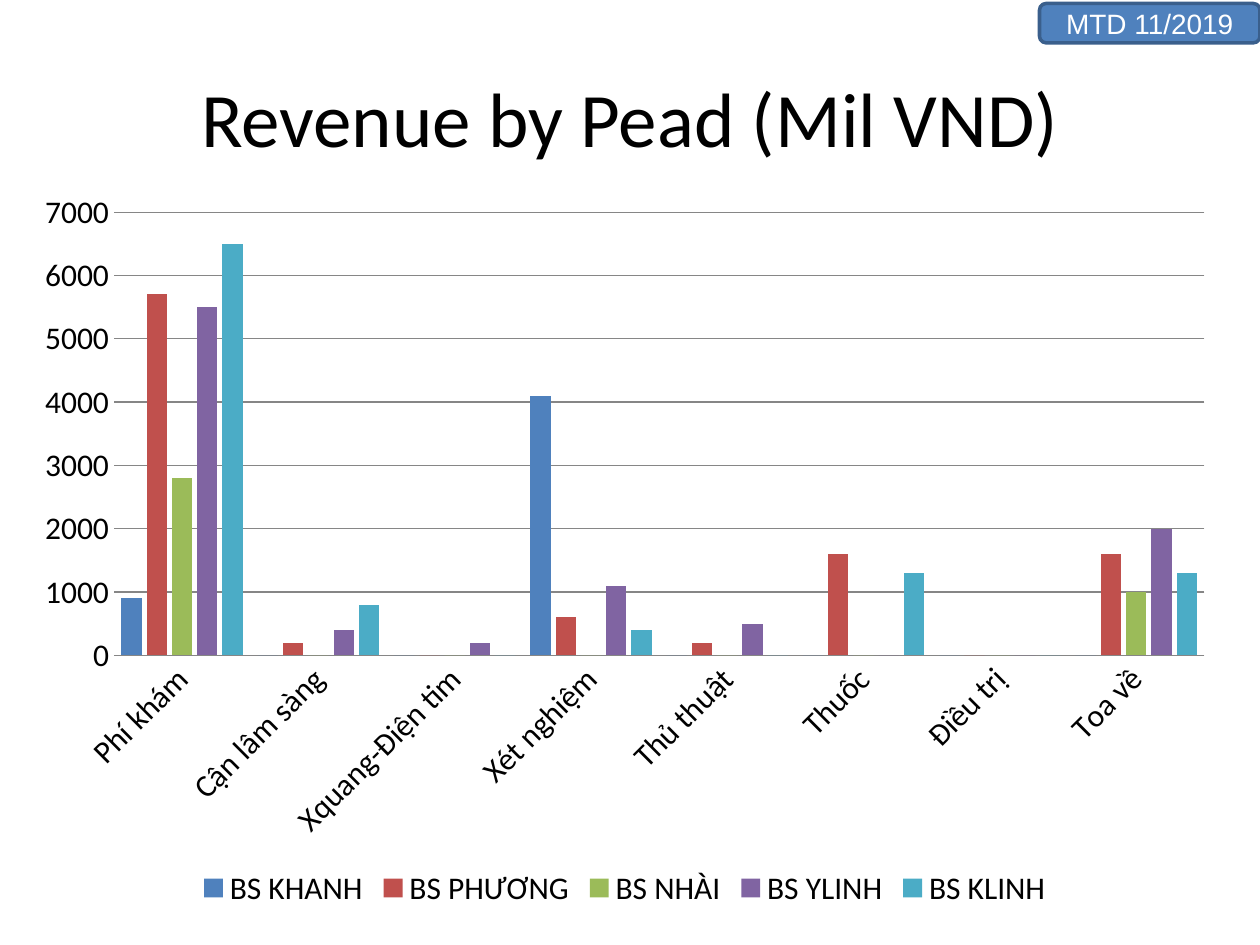
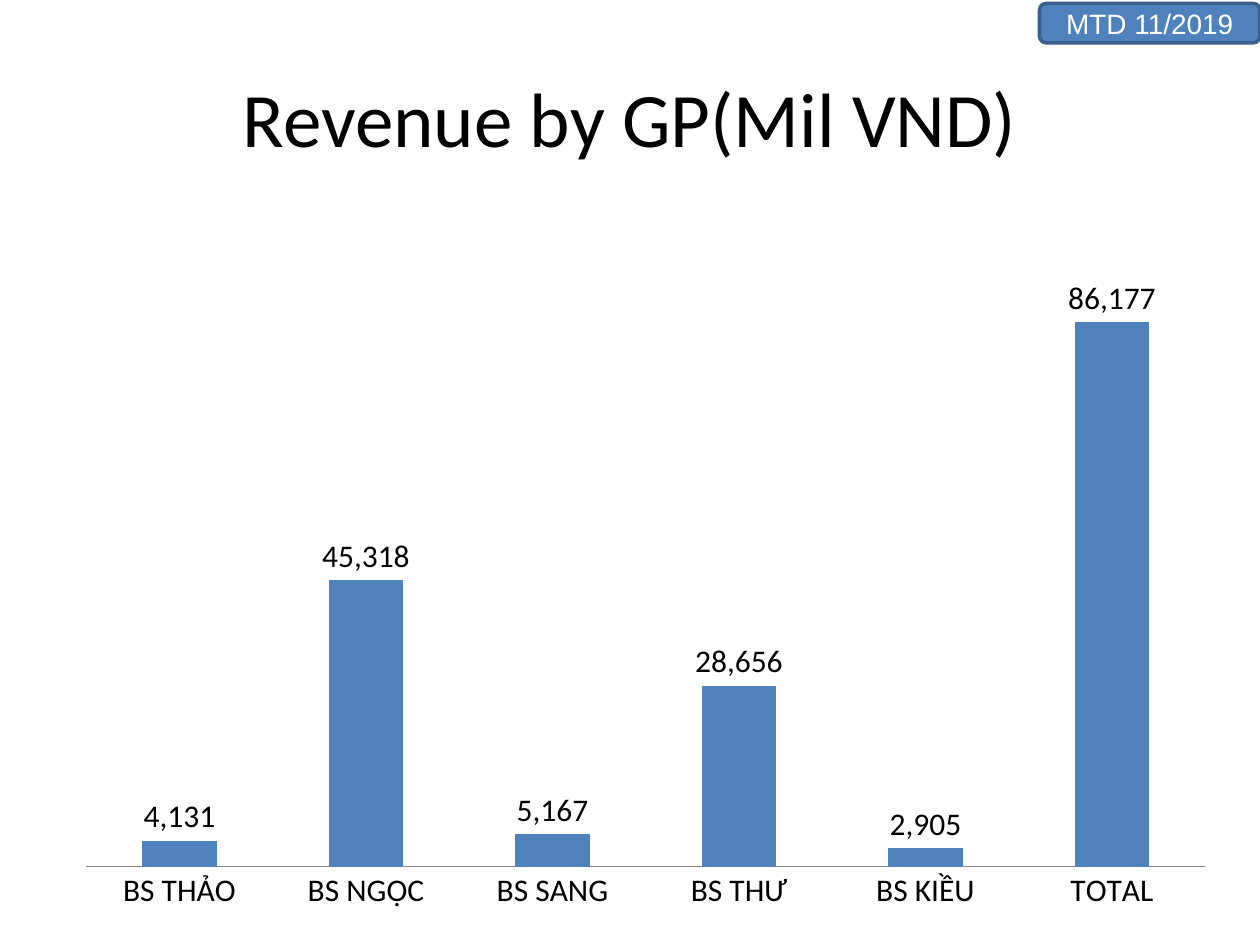
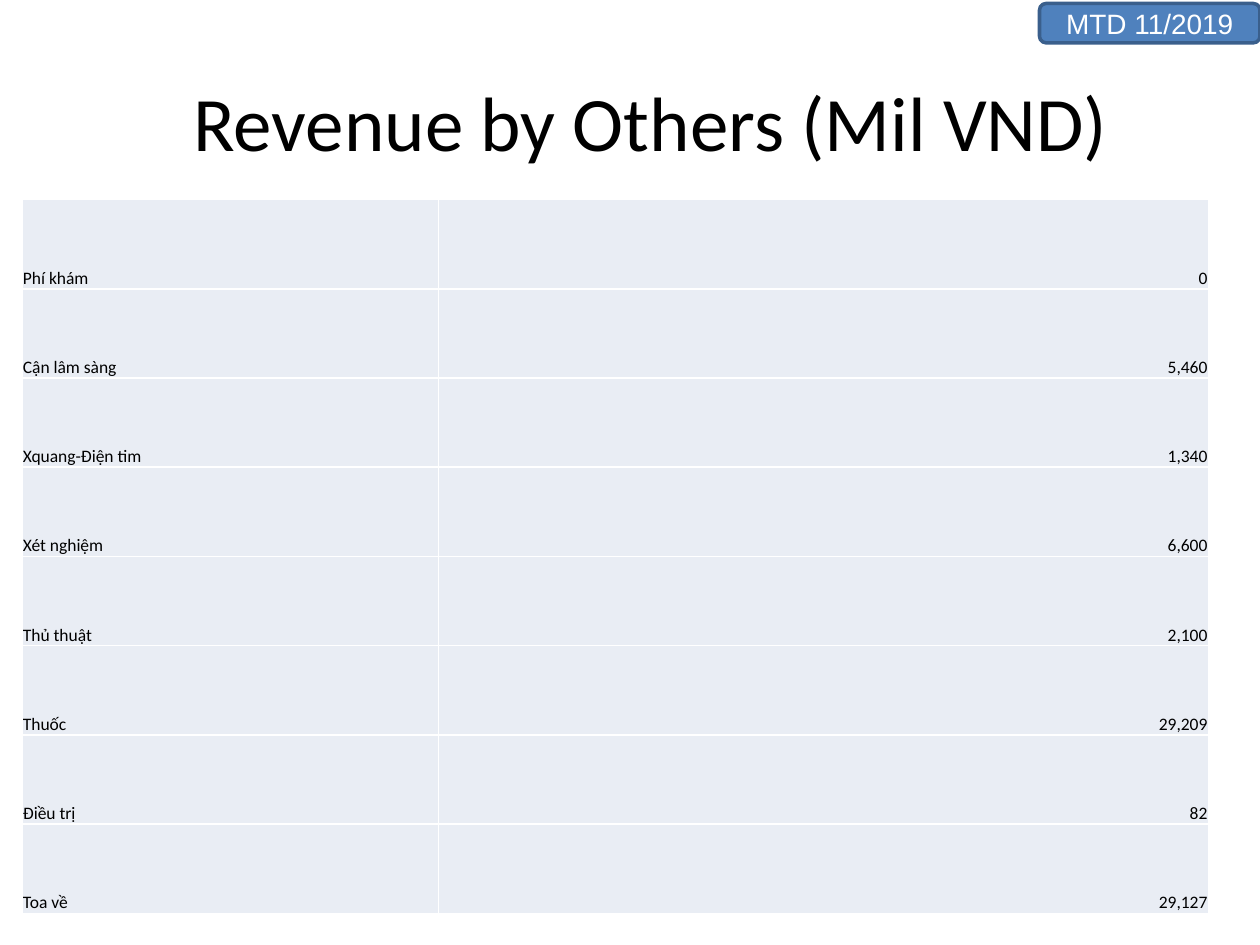
from dataclasses import dataclass

import pptx
import pptx.chart.chart
import pptx.chart.data
import pptx.dml.color
import pptx.enum.chart
import pptx.enum.shapes
import pptx.enum.text
import pptx.oxml
import pptx.oxml.ns
import pptx.slide
import pptx.table
import pptx.text.text
import pptx.util

Pt = pptx.util.Pt
ALIGN = pptx.enum.text.PP_ALIGN
ANCHOR = pptx.enum.text.MSO_ANCHOR

COLORS = {
    "text": "000000",
    "white": "FFFFFF",
    "blue": "4F81BD",
    "red": "C0504D",
    "green": "9BBB59",
    "purple": "8064A2",
    "aqua": "4BACC6",
    "badge_line": "3A5F8C",
    "axis": "868686",
    "cell": "E9EDF4",
}
FONT = "Calibri"
BADGE_TEXT = "MTD 11/2019"
SERVICES = ["Phí khám", "Cận lâm sàng", "Xquang-Điện tim", "Xét nghiệm",
            "Thủ thuật", "Thuốc", "Điều trị", "Toa về"]
OTHER_REVENUE = ["0", "5,460", "1,340", "6,600", "2,100", "29,209", "82", "29,127"]


@dataclass(frozen=True)
class Box:
    """Position and size in points."""
    left: float
    top: float
    width: float
    height: float

    def lengths(self) -> tuple:
        return Pt(self.left), Pt(self.top), Pt(self.width), Pt(self.height)


@dataclass(frozen=True)
class Series:
    name: str
    values: list[int]
    color: str


@dataclass(frozen=True)
class ColumnChart:
    box: Box
    categories: list[str]
    series: list[Series]
    gap: int
    maximum: int


TITLE_BOX = Box(36, 21.6, 648, 90)
BADGE_BOX = Box(594, 2, 126, 22.5)
TABLE_BOX = Box(12.5, 114, 678, 408)
LABEL_COLUMN_WIDTH = 238

DOCTOR_CHART = ColumnChart(
    Box(12, 102, 690, 420), SERVICES,
    [
        Series("BS KHANH", [900, 0, 0, 4100, 0, 0, 0, 0], "blue"),
        Series("BS PHƯƠNG", [5700, 200, 0, 600, 200, 1600, 0, 1600], "red"),
        Series("BS NHÀI", [2800, 0, 0, 0, 0, 0, 0, 1000], "green"),
        Series("BS YLINH", [5500, 400, 200, 1100, 500, 0, 0, 2000], "purple"),
        Series("BS KLINH", [6500, 800, 0, 400, 0, 1300, 0, 1300], "aqua"),
    ],
    gap=75, maximum=7000)

GP_CHART = ColumnChart(
    Box(36, 126, 666, 402),
    ["BS THẢO", "BS NGỌC", "BS SANG", "BS THƯ", "BS KIỀU", "TOTAL"],
    [Series("Series 1", [4131, 45318, 5167, 28656, 2905, 86177], "blue")],
    gap=150, maximum=100000)


def rgb(name: str) -> pptx.dml.color.RGBColor:
    return pptx.dml.color.RGBColor.from_string(COLORS[name])


def style_font(font: pptx.text.text.Font, size: float, name: str = FONT,
               color: str = "text") -> None:
    font.size = Pt(size)
    font.name = name
    font.color.rgb = rgb(color)


def write_text(frame: pptx.text.text.TextFrame, text: str, *, size: float,
               name: str = FONT, color: str = "text",
               align: ALIGN = ALIGN.CENTER) -> None:
    paragraph = frame.paragraphs[0]
    paragraph.alignment = align
    run = paragraph.add_run()
    run.text = text
    style_font(run.font, size, name, color)


def add_badge(slide: pptx.slide.Slide) -> None:
    badge = slide.shapes.add_shape(
        pptx.enum.shapes.MSO_SHAPE.ROUNDED_RECTANGLE, *BADGE_BOX.lengths())
    badge.shadow.inherit = False
    badge.fill.solid()
    badge.fill.fore_color.rgb = rgb("blue")
    badge.line.color.rgb = rgb("badge_line")
    badge.line.width = Pt(2)
    badge.text_frame.vertical_anchor = ANCHOR.MIDDLE
    write_text(badge.text_frame, BADGE_TEXT, size=16, name="Arial", color="white")


def add_slide(presentation, title: str, title_box: Box = TITLE_BOX) -> pptx.slide.Slide:
    """Add a blank slide with the shared badge and title."""
    slide = presentation.slides.add_slide(presentation.slide_layouts[6])
    add_badge(slide)
    frame = slide.shapes.add_textbox(*title_box.lengths()).text_frame
    frame.word_wrap = True
    frame.vertical_anchor = ANCHOR.MIDDLE
    write_text(frame, title, size=44)
    return slide


def add_column_chart(slide: pptx.slide.Slide, spec: ColumnChart) -> pptx.chart.chart.Chart:
    data = pptx.chart.data.CategoryChartData(number_format="#,##0")
    data.categories = spec.categories
    for series in spec.series:
        data.add_series(series.name, series.values)
    chart = slide.shapes.add_chart(
        pptx.enum.chart.XL_CHART_TYPE.COLUMN_CLUSTERED, *spec.box.lengths(), data).chart
    chart.has_title = False
    chart.has_legend = False
    style_font(chart.font, 18)

    plot = chart.plots[0]
    plot.vary_by_categories = False
    plot.gap_width = spec.gap
    plot.overlap = -25
    for drawn, series in zip(plot.series, spec.series):
        drawn.format.fill.solid()
        drawn.format.fill.fore_color.rgb = rgb(series.color)

    for axis in (chart.category_axis, chart.value_axis):
        axis.major_tick_mark = pptx.enum.chart.XL_TICK_MARK.NONE
        axis.minor_tick_mark = pptx.enum.chart.XL_TICK_MARK.NONE
        axis.has_major_gridlines = False
    chart.category_axis.format.line.color.rgb = rgb("axis")
    chart.value_axis.minimum_scale = 0
    chart.value_axis.maximum_scale = spec.maximum
    return chart


def show_scale_and_legend(chart: pptx.chart.chart.Chart) -> None:
    value_axis = chart.value_axis
    value_axis.has_major_gridlines = True
    value_axis.major_gridlines.format.line.color.rgb = rgb("axis")
    value_axis.major_unit = 1000
    value_axis.format.line.fill.background()
    value_axis.tick_labels.number_format = "General"
    value_axis.tick_labels.number_format_is_linked = False

    category_axis = chart.category_axis
    style_font(category_axis.tick_labels.font, 18)
    body = category_axis._element.find(".//" + pptx.oxml.ns.qn("a:bodyPr"))
    body.set("rot", "-2700000")

    chart.has_legend = True
    chart.legend.position = pptx.enum.chart.XL_LEGEND_POSITION.BOTTOM
    chart.legend.include_in_layout = False
    style_font(chart.legend.font, 18)


def show_values(chart: pptx.chart.chart.Chart) -> None:
    """Label each column and hide the value axis."""
    chart.value_axis.visible = False
    plot = chart.plots[0]
    plot.has_data_labels = True
    labels = plot.data_labels
    labels.show_value = True
    labels.number_format = "#,##0"
    labels.number_format_is_linked = False
    labels.position = pptx.enum.chart.XL_LABEL_POSITION.OUTSIDE_END
    style_font(labels.font, 18)


def add_borders(cell: pptx.table._Cell) -> None:
    properties = cell._tc.get_or_add_tcPr()
    for edge in ("lnL", "lnR", "lnT", "lnB"):
        properties.append(pptx.oxml.parse_xml(
            f'<a:{edge} {pptx.oxml.ns.nsdecls("a")} w="{Pt(1)}"><a:solidFill>'
            f'<a:srgbClr val="{COLORS["white"]}"/></a:solidFill></a:{edge}>'))


def fill_cell(cell: pptx.table._Cell, text: str, align: ALIGN) -> None:
    add_borders(cell)
    cell.fill.solid()
    cell.fill.fore_color.rgb = rgb("cell")
    cell.vertical_anchor = ANCHOR.BOTTOM
    cell.margin_left = cell.margin_right = cell.margin_top = Pt(0.6)
    cell.margin_bottom = Pt(0)
    write_text(cell.text_frame, text, size=10, align=align)


def add_revenue_table(slide: pptx.slide.Slide) -> None:
    table = slide.shapes.add_table(len(SERVICES), 2, *TABLE_BOX.lengths()).table
    table.first_row = False
    table.horz_banding = False
    table.columns[0].width = Pt(LABEL_COLUMN_WIDTH)
    table.columns[1].width = Pt(TABLE_BOX.width - LABEL_COLUMN_WIDTH)
    for index, (service, revenue) in enumerate(zip(SERVICES, OTHER_REVENUE)):
        table.rows[index].height = Pt(TABLE_BOX.height / len(SERVICES))
        fill_cell(table.cell(index, 0), service, ALIGN.LEFT)
        fill_cell(table.cell(index, 1), revenue, ALIGN.RIGHT)


def main() -> None:
    presentation = pptx.Presentation()
    presentation.slide_width = Pt(720)
    presentation.slide_height = Pt(540)

    slide = add_slide(presentation, "Revenue by Pead (Mil VND)")
    show_scale_and_legend(add_column_chart(slide, DOCTOR_CHART))

    slide = add_slide(presentation, "Revenue by GP(Mil VND)")
    show_values(add_column_chart(slide, GP_CHART))

    slide = add_slide(presentation, "Revenue by Others (Mil VND)", Box(48, 24, 648, 90))
    add_revenue_table(slide)

    presentation.save("out.pptx")


if __name__ == "__main__":
    main()
